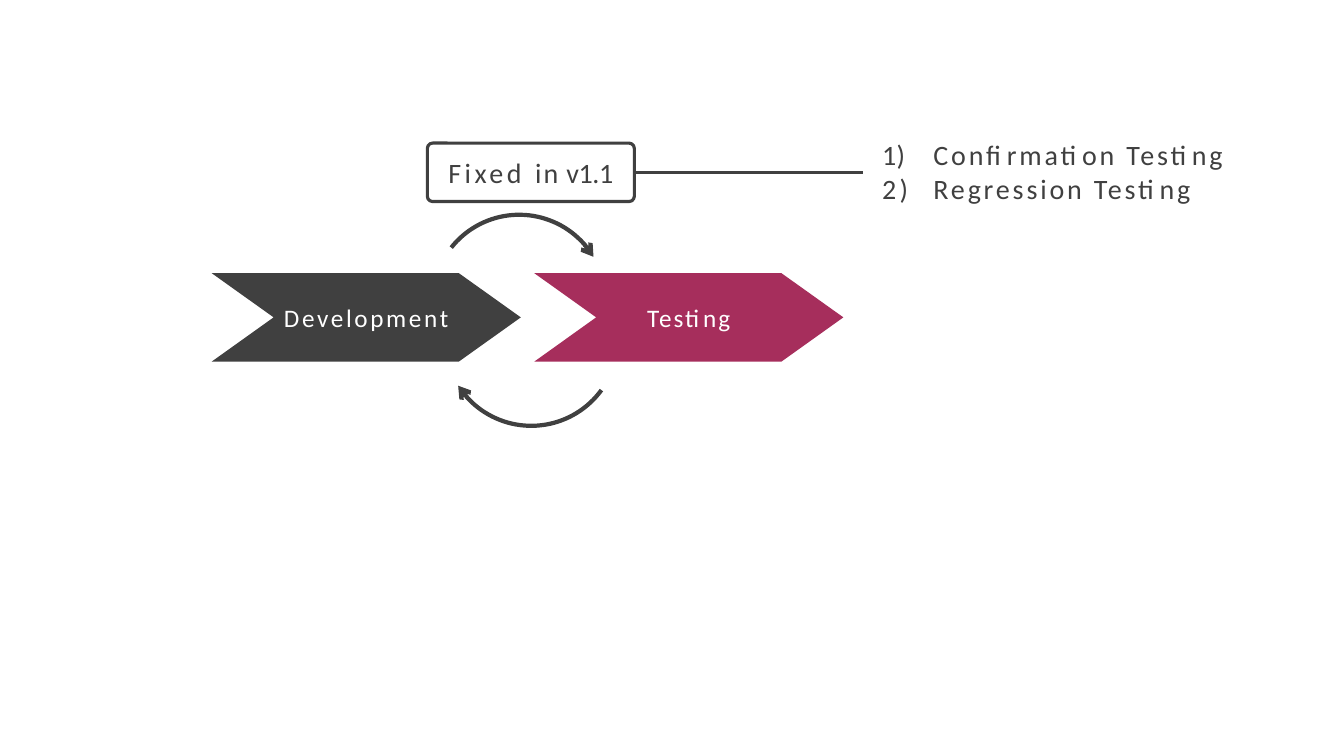
from math import cos, radians, sin

from lxml import etree
from pptx import Presentation
from pptx.dml.color import RGBColor
from pptx.enum.shapes import MSO_CONNECTOR, MSO_SHAPE
from pptx.enum.text import MSO_ANCHOR, MSO_AUTO_SIZE, PP_ALIGN
from pptx.oxml.ns import qn
from pptx.util import Inches, Pt

CHEVRON = MSO_SHAPE.CHEVRON
ROUNDED = MSO_SHAPE.ROUNDED_RECTANGLE
STRAIGHT = MSO_CONNECTOR.STRAIGHT
TOP, MIDDLE = MSO_ANCHOR.TOP, MSO_ANCHOR.MIDDLE
LEFT, CENTER = PP_ALIGN.LEFT, PP_ALIGN.CENTER
NO_AUTOFIT = MSO_AUTO_SIZE.NONE

GRAY = RGBColor(0x40, 0x40, 0x40)
CRIMSON = RGBColor(0xA6, 0x2E, 0x5C)
WHITE = RGBColor(0xFF, 0xFF, 0xFF)
FONT = "Calibri"

WIDTH, HEIGHT = Inches(13.33), Inches(7.5)


def column(share):
    """Turn a percentage of the slide's width into a length."""
    return round(WIDTH * share / 100)


def row(share):
    """Turn a percentage of the slide's height into a length."""
    return round(HEIGHT * share / 100)


def write_line(shape, runs, size, color, alignment, anchor):
    """Write one line of (text, letter spacing in points) runs."""
    frame = shape.text_frame
    frame.auto_size = NO_AUTOFIT
    frame.word_wrap = False
    frame.vertical_anchor = anchor
    frame.margin_left = frame.margin_right = frame.margin_bottom = 0
    frame.margin_top = Inches(0.02) if anchor == TOP else 0
    paragraph = frame.paragraphs[0]
    paragraph.alignment = alignment
    for text, spacing in runs:
        run = paragraph.add_run()
        run.text = text
        run.font.name = FONT
        run.font.size = Pt(size)
        run.font.color.rgb = color
        run.font._element.set("spc", str(round(spacing * 100)))


def add_phase(slide, left, name, spacing, fill):
    phase = slide.shapes.add_shape(
        CHEVRON, column(left), row(36.13), column(23), row(11.7))
    phase.shadow.inherit = False
    phase.adjustments[0] = 0.7
    phase.fill.solid()
    phase.fill.fore_color.rgb = fill
    phase.line.fill.background()
    write_line(phase, [(name, spacing)], 18, WHITE, CENTER, MIDDLE)


def add_cycle_arrow(slide, center, start, end):
    """Draw a clockwise arc between two angles, with an open arrowhead."""
    radius, steps = column(6.45), 40
    center_x, center_y = column(center[0]), row(center[1])
    angles = [radians(start + (end - start) * step / steps)
              for step in range(steps + 1)]
    points = [(round(center_x + radius * cos(angle)),
               round(center_y + radius * sin(angle))) for angle in angles]
    builder = slide.shapes.build_freeform(*points[0])
    builder.add_line_segments(points[1:], close=False)
    arrow = builder.convert_to_shape()
    arrow.shadow.inherit = False
    arrow.fill.background()
    arrow.line.color.rgb = GRAY
    arrow.line.width = Pt(3)
    etree.SubElement(arrow.line._get_or_add_ln(), qn("a:tailEnd"),
                     type="arrow", w="med", len="med")


def add_release_box(slide):
    box = slide.shapes.add_shape(
        ROUNDED, column(31.8), row(18.93), column(15.4), row(7.73))
    box.shadow.inherit = False
    box.adjustments[0] = 0.09
    box.fill.background()
    box.line.color.rgb = GRAY
    box.line.width = Pt(2.25)
    write_line(box, [("Fixed ", 2.5), ("in", 1.5), (" v1.1", -0.3)],
               20, GRAY, CENTER, MIDDLE)


def add_callout_line(slide):
    line = slide.shapes.add_connector(
        STRAIGHT, column(47.2), row(22.8), column(64.2), row(22.8))
    line.line.color.rgb = GRAY
    line.line.width = Pt(2.25)
    etree.SubElement(line._element.spPr, qn("a:effectLst"))


def write_list_item(shape, index, number_spacing, text):
    shape.left, shape.top = column(65.63), row(17.87 + 4.53 * index)
    shape.width, shape.height = column(25.9), row(4.8)
    properties = shape.text_frame.paragraphs[0]._p.get_or_add_pPr()
    tabs = etree.SubElement(properties, qn("a:tabLst"))
    etree.SubElement(tabs, qn("a:tab"), pos=str(Inches(0.51)), algn="l")
    write_line(shape, [(f"{index + 1})\t", number_spacing), (text, 2)],
               20, GRAY, LEFT, TOP)


def main():
    presentation = Presentation()
    presentation.slide_width, presentation.slide_height = WIDTH, HEIGHT
    title_only = presentation.slide_layouts[5]
    slide = presentation.slides.add_slide(title_only)

    add_phase(slide, 15.75, "Development", 1.9, GRAY)
    add_phase(slide, 39.75, "Testing", 1.4, CRIMSON)
    add_cycle_arrow(slide, (39.53, 44.87), 36, 147.5)
    add_cycle_arrow(slide, (38.63, 39.87), 218.4, 329)
    add_release_box(slide)
    add_callout_line(slide)
    write_list_item(slide.shapes.title, 0, 0.2, "Confirmation Testing")
    second_item = slide.shapes.add_textbox(0, 0, 0, 0)
    write_list_item(second_item, 1, 2.4, "Regression Testing")

    presentation.save("out.pptx")


if __name__ == "__main__":
    main()
